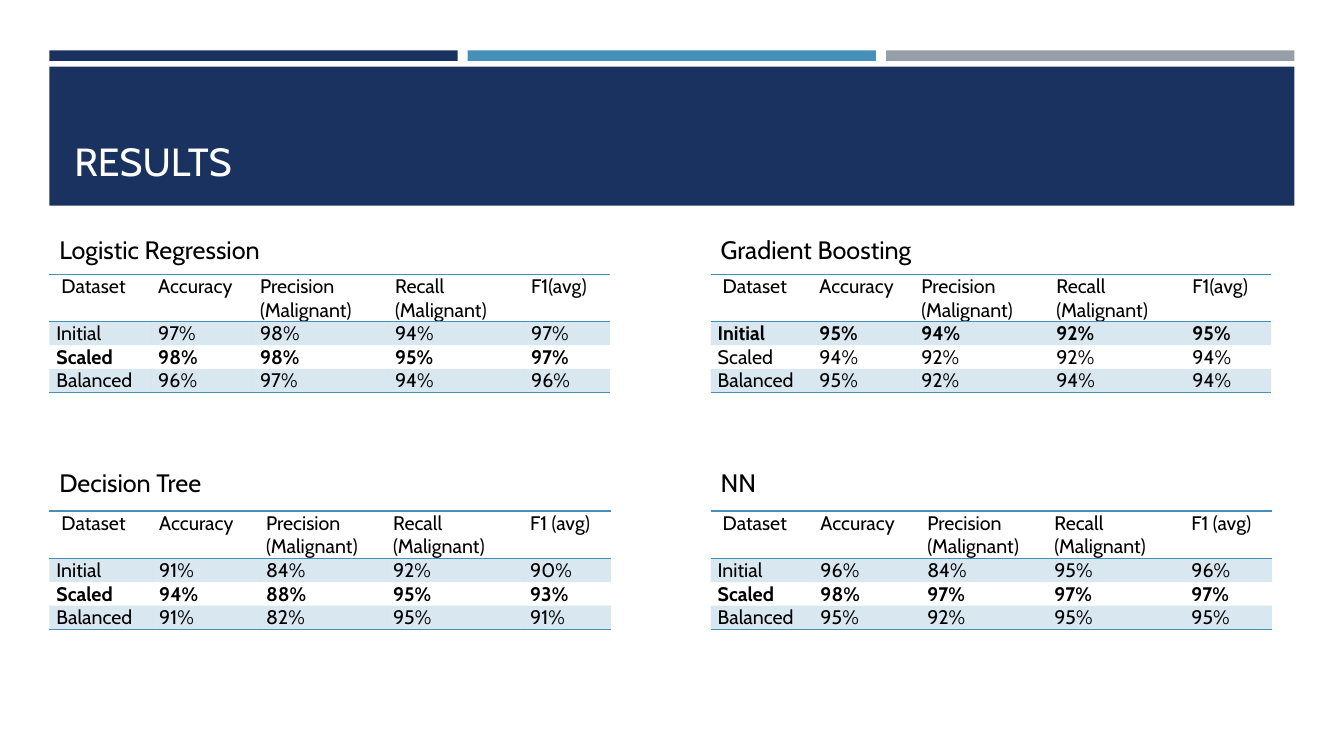
"""Build a results slide comparing four classifiers on three datasets."""
from lxml import etree
from pptx import Presentation
from pptx import util as u
from pptx.dml.color import RGBColor
from pptx.enum import shapes, text
from pptx.oxml import ns

UNIT = u.Inches(0.1)
PAGE_COLUMNS, PAGE_ROWS = 133.33, 75
LEFT = 4.9
BAR_WIDTH, BAR_GAP = 40.5, 1
BANNER_WIDTH = 3 * BAR_WIDTH + 2 * BAR_GAP
PANEL_WIDTH, PANEL_STEP = 55.6, 65.6
LINE_HEIGHT = 2.35
FONT = "Cabin"
PLAIN_STYLE = "{2D5ABB26-0587-4C30-8999-92F81FD0307C}"

NAVY = RGBColor(0x1A, 0x32, 0x60)
BLUE = RGBColor(0x45, 0x90, 0xB8)
GREY = RGBColor(0x96, 0x9F, 0xA7)
WHITE = RGBColor(0xFF, 0xFF, 0xFF)
BLACK = RGBColor(0x00, 0x00, 0x00)

DATASETS = ("Initial", "Scaled", "Balanced")
HEADERS = ("Dataset", "Accuracy", "Precision (Malignant)", "Recall (Malignant)")

BANDS = (
    {
        "heading_row": 22.7, "table_row": 27.2, "f1_header": "F1(avg)",
        "widths": (10.1, 10.1, 13.4, 13.5, 8.5),
        "models": (
            ("Logistic Regression", "Scaled",
             ((97, 98, 94, 97), (98, 98, 95, 97), (96, 97, 94, 96))),
            ("Gradient Boosting", "Initial",
             ((95, 94, 92, 95), (94, 92, 92, 94), (95, 92, 94, 94))),
        ),
    },
    {
        "heading_row": 45.9, "table_row": 50.7, "f1_header": "F1 (avg)",
        "widths": (10.2, 10.6, 12.6, 13.6, 8.7),
        "models": (
            ("Decision Tree", "Scaled",
             ((91, 84, 92, 90), (94, 88, 95, 93), (91, 82, 95, 91))),
            ("NN", "Scaled",
             ((96, 84, 95, 96), (98, 97, 97, 97), (95, 92, 95, 95))),
        ),
    },
)


def grid(*counts):
    """Turn counts of grid units into lengths."""
    return [u.Emu(round(count * UNIT)) for count in counts]


def style_text(frame, size, color, bold=False):
    """Format every run in a text frame."""
    for para in frame.paragraphs:
        for span in para.runs:
            span.font.name = FONT
            span.font.size = u.Pt(size)
            span.font.bold = bold
            span.font.color.rgb = color


def add_bar(page, area, color):
    """Add a flat rectangle without outline or shadow."""
    bar = page.shapes.add_shape(shapes.MSO_SHAPE.RECTANGLE, *grid(*area))
    bar.fill.solid()
    bar.fill.fore_color.rgb = color
    bar.line.fill.background()
    bar.shadow.inherit = False


def add_label(page, area, wording, size, color, anchor):
    """Add a wrapped text box and return it."""
    box = page.shapes.add_textbox(*grid(*area))
    frame = box.text_frame
    frame.word_wrap = True
    frame.vertical_anchor = anchor
    frame.text = wording
    style_text(frame, size, color)
    return box


def add_rule(cell, side):
    """Draw a thin blue border on one side of a cell."""
    properties = cell._tc.get_or_add_tcPr()
    line = etree.SubElement(properties, ns.qn(f"a:{side}"), w=str(u.Pt(1)))
    fill = etree.SubElement(line, ns.qn("a:solidFill"))
    etree.SubElement(fill, ns.qn("a:srgbClr"), val=str(BLUE))


def shade(cell):
    """Fill a cell with blue at twenty per cent opacity."""
    cell.fill.solid()
    cell.fill.fore_color.rgb = BLUE
    for color in cell._tc.tcPr.iter(ns.qn("a:srgbClr")):
        if color.getparent().getparent() is cell._tc.tcPr:
            etree.SubElement(color, ns.qn("a:alpha"), val="20000")


def fill_cell(cell, wording, bold, sides, shaded):
    """Write one table cell and set its borders and fill."""
    cell.margin_left = cell.margin_right = u.Inches(0.07)
    cell.margin_top = cell.margin_bottom = 0
    cell.text_frame.text = wording
    style_text(cell.text_frame, 14, BLACK, bold)
    for side in sides:
        add_rule(cell, side)
    if shaded:
        shade(cell)
    else:
        cell.fill.background()


def add_scores(page, left, top, widths, headers, best, scores):
    """Add one table of scores with the best dataset in bold."""
    rows = [headers]
    for dataset, values in zip(DATASETS, scores):
        rows.append((dataset, *(f"{value}%" for value in values)))
    last = len(rows) - 1
    height = LINE_HEIGHT * (len(rows) + 1)
    holder = page.shapes.add_table(len(rows), len(headers),
                                   *grid(left, top, PANEL_WIDTH, height))
    table = holder.table
    table.first_row = table.horz_banding = False
    for style in holder.element.iter(ns.qn("a:tableStyleId")):
        style.text = PLAIN_STYLE
    for column, width in zip(table.columns, grid(*widths)):
        column.width = width
    for index, wordings in enumerate(rows):
        lines = 2 if index == 0 else 1
        table.rows[index].height = grid(LINE_HEIGHT * lines)[0]
        sides = {0: ("lnT", "lnB"), last: ("lnB",)}.get(index, ())
        for position, wording in enumerate(wordings):
            fill_cell(table.cell(index, position), wording,
                      wordings[0] == best, sides, index % 2 == 1)
    table.cell(0, 0).margin_left = u.Inches(0.12)


def add_banner(page):
    """Add the three accent bars and the title block."""
    for index, color in enumerate((NAVY, BLUE, GREY)):
        left = LEFT + index * (BAR_WIDTH + BAR_GAP)
        add_bar(page, (left, 5, BAR_WIDTH, 1.05), color)
    add_bar(page, (LEFT, 6.6, BANNER_WIDTH, 13.8), NAVY)
    add_label(page, (6.4, 8, 120.6, 10.8), "RESULTS", 28, WHITE,
              text.MSO_ANCHOR.BOTTOM)


def add_band(page, band):
    """Add a row of headed score tables."""
    headers = (*HEADERS, band["f1_header"])
    for index, (model, best, scores) in enumerate(band["models"]):
        left = LEFT + index * PANEL_STEP
        heading = add_label(page, (left, band["heading_row"], PANEL_WIDTH, 4),
                            model, 18, BLACK, text.MSO_ANCHOR.MIDDLE)
        heading.text_frame.auto_size = text.MSO_AUTO_SIZE.SHAPE_TO_FIT_TEXT
        add_scores(page, left, band["table_row"], band["widths"], headers,
                   best, scores)


def main():
    """Build and save the deck."""
    deck = Presentation()
    deck.slide_width, deck.slide_height = grid(PAGE_COLUMNS, PAGE_ROWS)
    page = deck.slides.add_slide(deck.slide_layouts[6])
    add_banner(page)
    for band in BANDS:
        add_band(page, band)
    deck.save("out.pptx")


if __name__ == "__main__":
    main()
